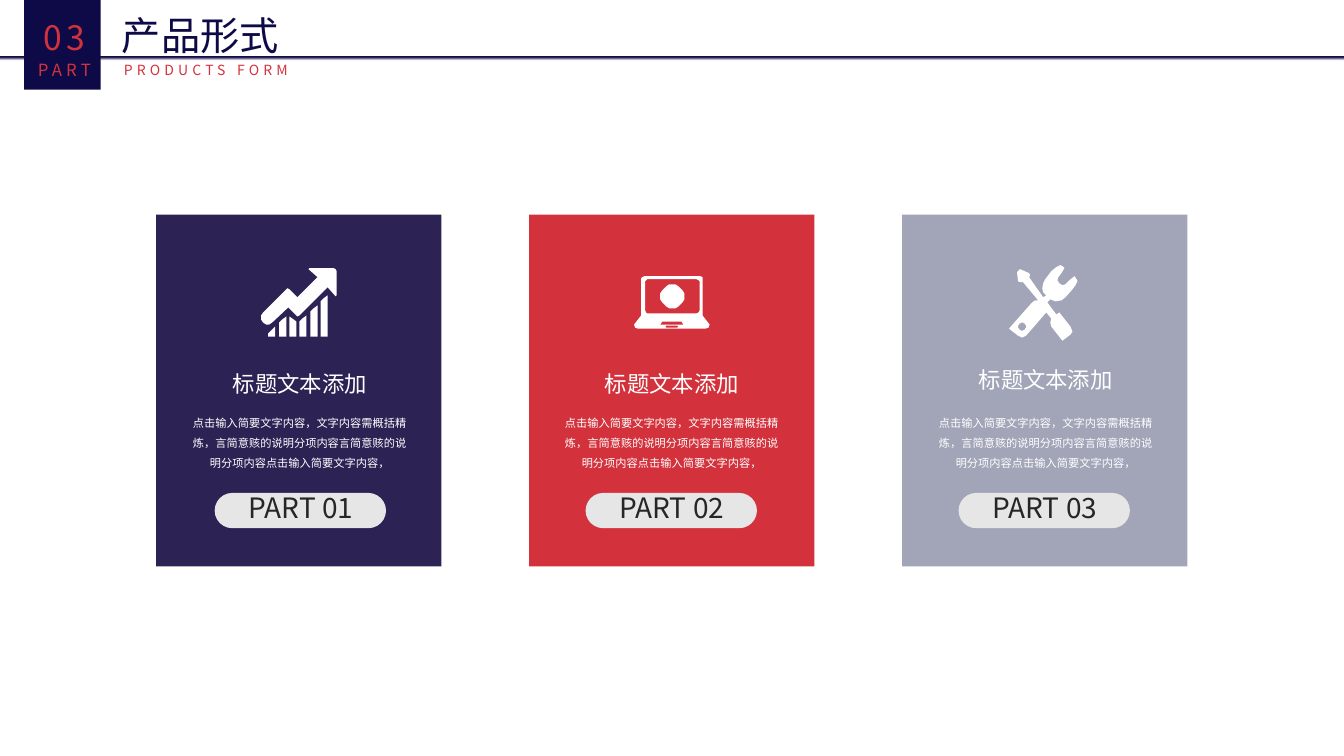
from math import cos, pi, sin

from lxml.etree import SubElement
from pptx import Presentation
from pptx.dml.color import RGBColor
from pptx.enum.shapes import MSO_SHAPE
from pptx.enum.text import MSO_ANCHOR, MSO_AUTO_SIZE, PP_ALIGN
from pptx.oxml.ns import qn
from pptx.util import Pt

PX = 9144  # EMU per px, 100 px to the inch
FONT = "Noto Sans CJK SC"

WHITE = RGBColor(0xFF, 0xFF, 0xFF)
NAVY = RGBColor(0x0D, 0x0A, 0x47)
PURPLE = RGBColor(0x2C, 0x22, 0x54)
RED = RGBColor(0xD3, 0x32, 0x3C)
GREY_BLUE = RGBColor(0xA2, 0xA5, 0xB8)
PALE_GREY = RGBColor(0xE7, 0xE6, 0xE6)
MIST = RGBColor(0xF6, 0xF8, 0xFC)
CHARCOAL = RGBColor(0x26, 0x26, 0x26)

CARD_LEFT, CARD_STEP, CARD_TOP = 155, 370, 213
HEADING = "标题文本添加"
BODY = ("点击输入简要文字内容，文字内容需概括精炼，言简意赅的说明分项内容"
        "言简意赅的说明分项内容点击输入简要文字内容，")


def circle(center_x, center_y, radius, count=24):
    return [(center_x + radius * cos(2 * pi * step / count),
             center_y + radius * sin(2 * pi * step / count))
            for step in range(count)]


def growth_icon():
    # Each bar: left, top left, top middle, top right; all are 7 px wide.
    bars = [(266, 331, 328, 324), (277, 320, 317, 314), (287, 314, 316, 319),
            (297, 319, 316, 313), (308, 309, 306, 303), (318, 299, 296, 293)]
    contours = [[(left, 334), (left, start), (left + 3, middle),
                 (left + 7, end), (left + 7, 334)]
                for left, start, middle, end in bars]
    arrow = [(307, 266), (331, 266), (333, 267), (334, 269), (334, 293),
             (333, 294), (325, 285), (297, 313), (295, 314), (294, 313),
             (286, 305), (270, 320), (267, 322), (264, 322), (261, 320),
             (259, 317), (259, 313), (261, 310), (284, 287), (285, 286),
             (287, 287), (295, 295), (315, 275), (306, 267)]
    return contours + [arrow]


def laptop_icon():
    case = [(639, 274), (695, 274), (697, 275), (697, 313), (704, 322),
            (703, 325), (700, 326), (633, 326), (630, 325), (629, 322),
            (636, 313), (636, 276), (637, 275)]
    screen = [(642, 277), (691, 277), (693, 278), (694, 279), (694, 308),
              (693, 310), (691, 311), (642, 311), (641, 310), (640, 308),
              (640, 279), (641, 278)]
    keyboard = [(657, 319), (676, 319), (678, 322), (655, 322)]
    slot = [(661, 323), (672, 323), (673, 324), (672, 325), (661, 325),
            (660, 324)]
    return [case, screen, keyboard, slot, circle(667, 294, 12)]


def tools_icon():
    tools = [(1068, 277), (1066, 274), (1061, 278), (1057, 282), (1054, 283),
             (1051, 281), (1049, 278), (1050, 275), (1053, 271), (1056, 266),
             (1054, 264), (1052, 263), (1048, 265), (1043, 269), (1037, 277),
             (1035, 281), (1034, 286), (1035, 290), (1038, 293), (1035, 295),
             (1021, 275), (1022, 273), (1021, 271), (1012, 267), (1009, 270),
             (1010, 279), (1012, 280), (1015, 280), (1030, 298), (1027, 298),
             (1024, 300), (1001, 326), (1010, 333), (1014, 335), (1018, 333),
             (1038, 310), (1043, 316), (1042, 320), (1043, 324), (1054, 338),
             (1062, 332), (1064, 329), (1062, 324), (1051, 310), (1048, 312),
             (1039, 300), (1042, 297), (1047, 299), (1053, 298), (1057, 295),
             (1064, 287), (1067, 283), (1069, 279)]
    return [tools, circle(1014, 324, 4)]


def format_shape(shape, color):
    shape.shadow.inherit = False
    shape.fill.solid()
    shape.fill.fore_color.rgb = color
    shape.line.fill.background()


def add_block(page, left, top, width, height, color, kind=MSO_SHAPE.RECTANGLE):
    block = page.shapes.add_shape(
        kind, left * PX, top * PX, width * PX, height * PX)
    format_shape(block, color)
    return block


def add_icon(page, contours):
    """Draw closed contours as one white outline; inner contours cut holes."""
    builder = page.shapes.build_freeform(*contours[0][0], scale=PX)
    for index, points in enumerate(contours):
        if index:
            builder.move_to(*points[0])
        builder.add_line_segments(points[1:], close=True)
    format_shape(builder.convert_to_shape(), WHITE)


def write_line(para, text, size, color, align=PP_ALIGN.CENTER, leading=1.0,
               tracking=0):
    para.alignment = align
    para.line_spacing = leading
    span = para.add_run()
    span.text = text
    span.font.size = Pt(size)
    span.font.name = FONT
    span.font.color.rgb = color
    properties = span.font._element
    SubElement(properties, qn("a:ea")).set("typeface", FONT)
    if tracking:
        properties.set("spc", str(tracking * 100))


def add_text(page, left, top, width, height, text, **style):
    box = page.shapes.add_textbox(left * PX, top * PX, width * PX, height * PX)
    box.text_frame.word_wrap = True
    write_line(box.text_frame.paragraphs[0], text, **style)
    return box


def add_title(page):
    title = page.shapes.title
    title.left, title.top, title.width, title.height = (
        length * PX for length in (111, 6, 177, 57))
    frame = title.text_frame
    frame.word_wrap = False
    frame.auto_size = MSO_AUTO_SIZE.SHAPE_TO_FIT_TEXT
    frame.vertical_anchor = MSO_ANCHOR.TOP
    write_line(frame.paragraphs[0], "产品形式", size=28, color=NAVY,
               align=PP_ALIGN.LEFT)


def add_header_rule(page):
    rule = add_block(page, 0, 56, 1333, 4, NAVY)
    rule.fill.gradient()
    rule.fill.gradient_angle = 270
    stops = rule._element.spPr.find(qn("a:gradFill")).find(qn("a:gsLst"))
    for stop in list(stops):
        stops.remove(stop)
    for percent, color in ((0, NAVY), (17, PURPLE), (26, PURPLE), (100, MIST)):
        stop = SubElement(stops, qn("a:gs"), pos=str(percent * 1000))
        SubElement(stop, qn("a:srgbClr"), val=str(color))


def add_header(page):
    add_title(page)
    add_text(page, 113, 54, 291, 28, "PRODUCTS FORM", size=10, color=RED,
             align=PP_ALIGN.LEFT, leading=1.14, tracking=3)
    add_header_rule(page)
    add_block(page, 24, 0, 76, 89, NAVY)
    style = {"color": RED, "leading": 1.14, "tracking": 3}
    badge = add_text(page, 24, 6, 80, 79, "03", size=24, **style)
    write_line(badge.text_frame.add_paragraph(), "PART", size=12, **style)


def add_card(page, number, color, contours, text_left, heading_top, pill_left):
    left = CARD_LEFT + (number - 1) * CARD_STEP
    add_block(page, left, CARD_TOP, 283, 349, color)
    add_icon(page, contours)
    add_text(page, text_left, 401, 241, 71, BODY, size=8, color=WHITE,
             leading=1.5)
    add_text(page, text_left + 14, heading_top, 213, 37, HEADING, size=16,
             color=WHITE)
    pill = add_block(page, pill_left, 489, 170, 35, PALE_GREY,
                     MSO_SHAPE.ROUNDED_RECTANGLE)
    pill.adjustments[0] = 0.5
    add_text(page, pill_left, 482, 171, 44, f"PART {number:02}", size=20,
             color=CHARCOAL)


def main():
    deck = Presentation()
    deck.slide_width, deck.slide_height = 12192000, 750 * PX
    page = deck.slides.add_slide(deck.slide_layouts[5])
    add_header(page)
    add_card(page, 1, PURPLE, growth_icon(), 177, 362, 213)
    add_card(page, 2, RED, laptop_icon(), 546, 362, 581)
    add_card(page, 3, GREY_BLUE, tools_icon(), 917, 358, 951)
    deck.save("out.pptx")


if __name__ == "__main__":
    main()
